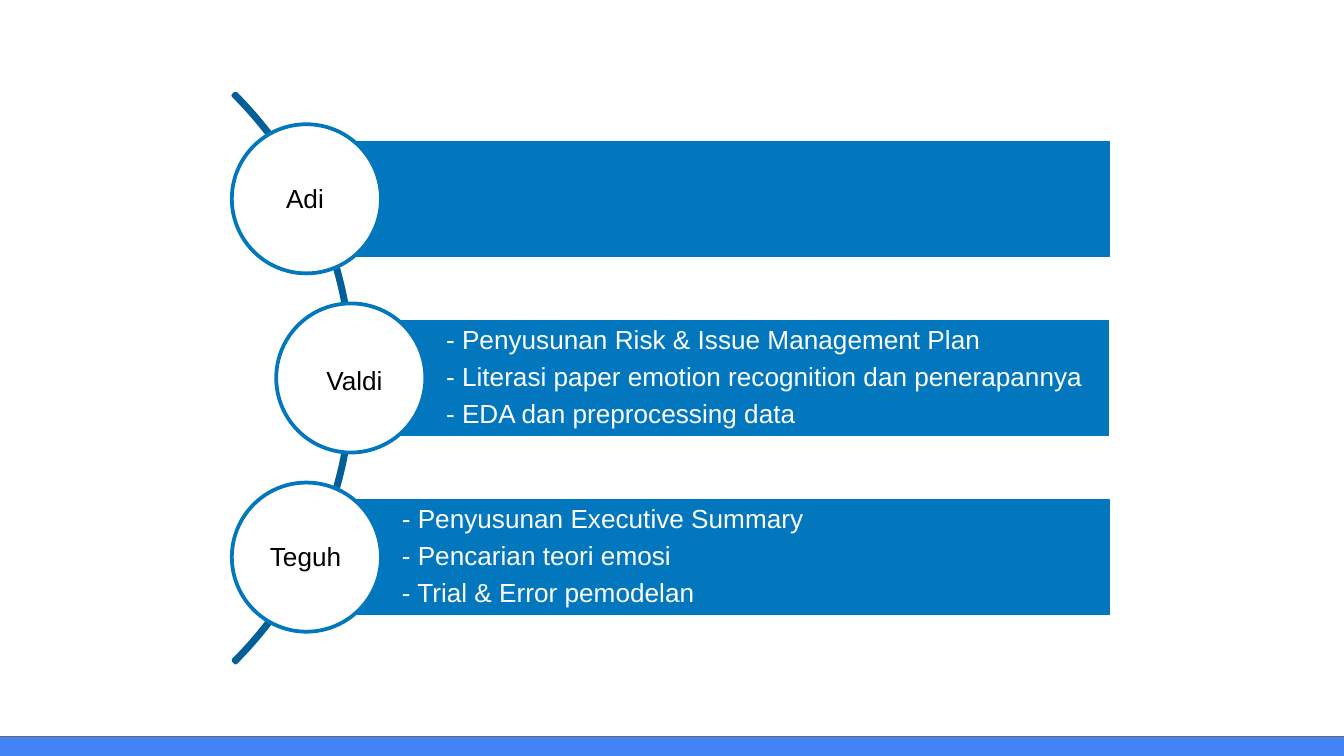
from pptx import Presentation
from pptx import util as u
from pptx.dml.color import RGBColor
from pptx.enum import shapes, text

COLORS = {
    "white": "FFFFFF", "black": "000000", "blue": "0277BD", "arc": "025F97",
    "footer": "4284F3", "footer_line": "666666",
}
SLIDE_W = 10
SLIDE_H = SLIDE_W * 9 / 16
ROW_PITCH = SLIDE_H * 0.237
MIDDLE = SLIDE_H / 2  # vertical centre of the middle row
BAR_RIGHT, BAR_H = 8.27, 0.89
CIRCLE_D, ARC_D = 1.11, 5.99

# name, centre of the circle, left and top of the name, width of the name, tasks
MEMBERS = [
    ("Adi", 2.28, 2.03, 1.31, 0.49, []),
    ("Valdi", 2.61, 2.33, 2.66, 0.64, [
        "- Penyusunan Risk & Issue Management Plan",
        "- Literasi paper emotion recognition dan penerapannya",
        "- EDA dan preprocessing data",
    ]),
    ("Teguh", 2.28, 1.91, 3.97, 0.76, [
        "- Penyusunan Executive Summary",
        "- Pencarian teori emosi",
        "- Trial & Error pemodelan",
    ]),
]


def rgb(name):
    return RGBColor.from_string(COLORS[name])


def add_shape(slide, kind, box, fill, line, width=2):
    sp = slide.shapes.add_shape(kind, *map(u.Inches, box))
    sp.shadow.inherit = False
    if fill:
        sp.fill.solid()
        sp.fill.fore_color.rgb = rgb(fill)
    else:
        sp.fill.background()
    sp.line.color.rgb = rgb(line)
    sp.line.width = u.Pt(width)
    return sp


def format_text(p, color):
    p.alignment = text.PP_ALIGN.LEFT
    for r in p.runs:
        r.font.name = "Arial"
        r.font.size = u.Pt(14)
        r.font.color.rgb = rgb(color)


def add_arc(slide):
    """Draw the thin arc that runs behind the circles."""
    box = (-3.36, MIDDLE - ARC_D / 2, ARC_D, ARC_D)
    sp = add_shape(slide, shapes.MSO_SHAPE.BLOCK_ARC, box, None, "arc")
    for i, value in enumerate((189, 27, 0.004)):  # 315 to 45 degrees
        sp.adjustments[i] = value


def add_task_bar(slide, left, middle, tasks):
    box = (left, middle - BAR_H / 2, BAR_RIGHT - left, BAR_H)
    sp = add_shape(slide, shapes.MSO_SHAPE.RECTANGLE, box, "blue", "white")
    if not tasks:
        return
    tf = sp.text_frame
    tf.word_wrap = True
    tf.vertical_anchor = text.MSO_ANCHOR.MIDDLE
    tf.margin_left = u.Inches(0.71)
    tf.margin_right = tf.margin_top = tf.margin_bottom = u.Inches(0.04)
    tf.text = "\n".join(tasks)
    for p in tf.paragraphs:
        p.line_spacing = 0.9
        p.space_after = u.Pt(4.7)
        format_text(p, "white")


def add_circle(slide, center, middle):
    box = (center - CIRCLE_D / 2, middle - CIRCLE_D / 2, CIRCLE_D, CIRCLE_D)
    add_shape(slide, shapes.MSO_SHAPE.OVAL, box, "white", "blue")


def add_name(slide, name, left, top, width):
    sp = slide.shapes.add_textbox(*map(u.Inches, (left, top, width, 0.34)))
    tf = sp.text_frame
    tf.word_wrap = False
    tf.auto_size = text.MSO_AUTO_SIZE.SHAPE_TO_FIT_TEXT
    tf.text = name
    format_text(tf.paragraphs[0], "black")


def main():
    prs = Presentation()
    prs.slide_width, prs.slide_height = u.Inches(SLIDE_W), u.Inches(SLIDE_H)
    slide = prs.slides.add_slide(prs.slide_layouts[6])

    add_shape(slide, shapes.MSO_SHAPE.RECTANGLE, (-0.04, 5.48, 10.18, 0.3),
              "footer", "footer_line", 0.75)
    add_arc(slide)
    for row, (name, center, left, top, width, tasks) in enumerate(MEMBERS):
        middle = MIDDLE + (row - 1) * ROW_PITCH
        add_task_bar(slide, center, middle, tasks)
        add_circle(slide, center, middle)
        add_name(slide, name, left, top, width)

    prs.save("out.pptx")


if __name__ == "__main__":
    main()
